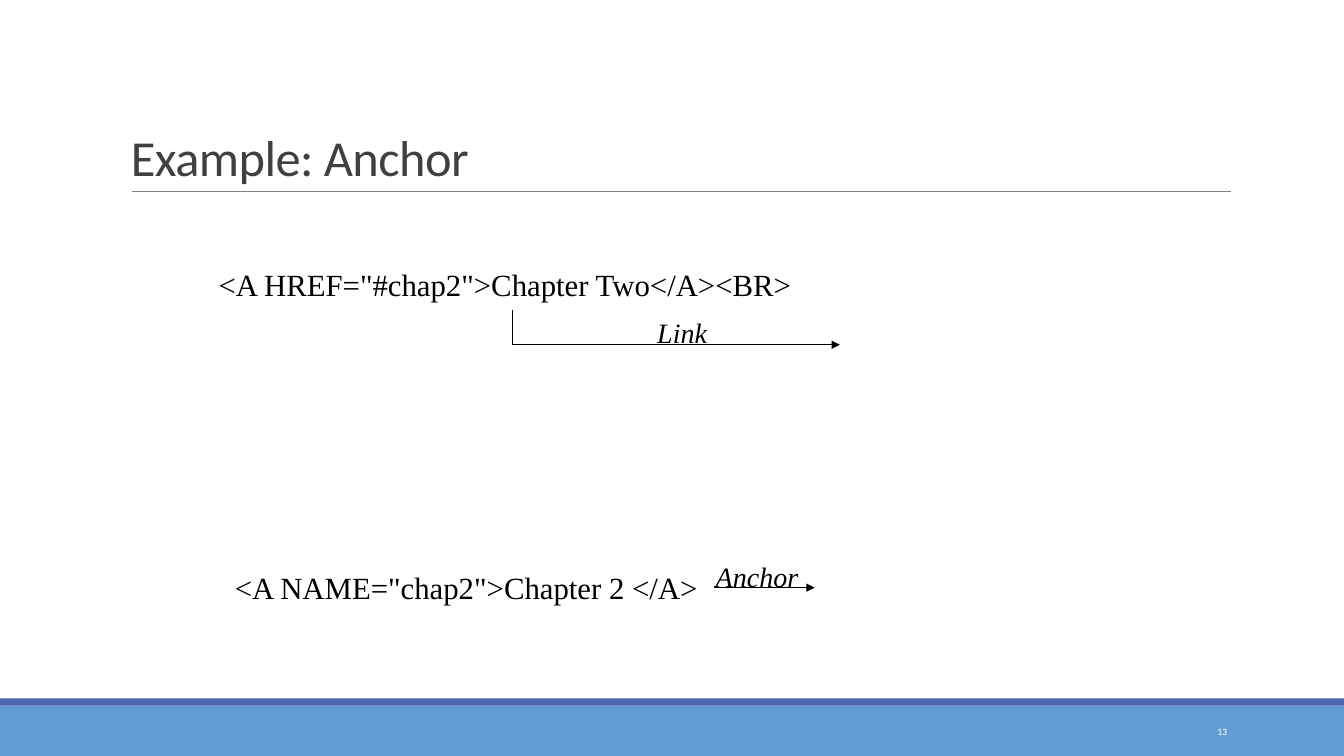
from pptx import Presentation
from pptx.dml.color import RGBColor
from pptx.enum.shapes import MSO_CONNECTOR, MSO_SHAPE
from pptx.enum.text import MSO_ANCHOR as Anchor, MSO_AUTO_SIZE as AutoSize, PP_ALIGN as Align
from pptx.oxml.ns import qn
from pptx.util import Inches, Pt
from lxml.etree import SubElement

BLACK = RGBColor(0, 0, 0)
WHITE = RGBColor(255, 255, 255)
CHARCOAL = RGBColor(0x40, 0x40, 0x40)
GRAY = RGBColor(0x80, 0x80, 0x80)
SKY = RGBColor(0x62, 0x9D, 0xD1)
INDIGO = RGBColor(0x4A, 0x66, 0xAC)

WIDTH, HEIGHT = 13.33, 7.5
FOOTER_TOP, STRIPE = 7, 0.07
BARS = [(FOOTER_TOP, HEIGHT - FOOTER_TOP, SKY), (FOOTER_TOP - STRIPE, STRIPE, INDIGO)]

TITLE = ("Example: Anchor", (1.2, 0.31, 11, 1.59))
PAGE_NUMBER = ("13", (10.83, 7.06, 1.44, 0.4))
CODE = [
    ('<A HREF="#chap2">Chapter Two</A><BR>', (2.07, 2.59, 5.93, 0.47)),
    ('<A NAME="chap2">Chapter 2 </A>', (2.23, 5.59, 4.81, 0.47)),
]
LABELS = [
    ("Link", (6.42, 3.08, 0.72, 0.43), False),
    ("Anchor", (7, 5.5, 1.02, 0.43), True),
]

LINK_X, LINK_Y = 5.08, 3.42
LINES = [
    ((1.31, 1.9), (12.21, 1.9), GRAY, 0.5, False),
    ((LINK_X, LINK_Y), (8.33, LINK_Y), BLACK, 0.75, True),
    ((LINK_X, LINK_Y), (LINK_X, 3.08), BLACK, 0.75, False),
    ((7.08, 5.83), (8.08, 5.83), BLACK, 0.75, True),
]


def add_text(page, text, place, size, font="Times New Roman", color=BLACK, italic=False,
             wrap=False, grow=False, anchor=Anchor.TOP, align=Align.LEFT,
             line_spacing=1.0, tracking=None):
    box = page.shapes.add_textbox(*map(Inches, place))
    frame = box.text_frame
    frame.word_wrap = wrap
    frame.auto_size = AutoSize.SHAPE_TO_FIT_TEXT if grow else AutoSize.NONE
    frame.vertical_anchor = anchor
    para = frame.paragraphs[0]
    para.alignment = align
    para.line_spacing = line_spacing
    span = para.add_run()
    span.text = text
    span.font.name = font
    span.font.size = Pt(size)
    span.font.italic = italic
    span.font.color.rgb = color
    if tracking is not None:
        span.font._element.set("spc", str(round(tracking * 100)))


def add_bar(page, top, height, color):
    bar = page.shapes.add_shape(MSO_SHAPE.RECTANGLE, 0, Inches(top), Inches(WIDTH), Inches(height))
    bar.shadow.inherit = False
    bar.fill.solid()
    bar.fill.fore_color.rgb = color
    bar.line.fill.background()


def add_line(page, start, end, color, weight, arrow):
    line = page.shapes.add_connector(MSO_CONNECTOR.STRAIGHT, *map(Inches, start + end))
    line.line.color.rgb = color
    line.line.width = Pt(weight)
    if arrow:
        SubElement(line.line._get_or_add_ln(), qn("a:tailEnd"), type="triangle")
    SubElement(line._element.spPr, qn("a:effectLst"))


def main():
    deck = Presentation()
    deck.slide_width, deck.slide_height = Inches(WIDTH), Inches(HEIGHT)
    page = deck.slides.add_slide(deck.slide_layouts[6])
    for bar in BARS:
        add_bar(page, *bar)
    for line in LINES:
        add_line(page, *line)
    add_text(page, *TITLE, size=36, font="Calibri", color=CHARCOAL, wrap=True,
             anchor=Anchor.BOTTOM, line_spacing=0.85, tracking=-0.4)
    for text, place in CODE:
        add_text(page, text, place, size=22, grow=True)
    for text, place, wrap in LABELS:
        add_text(page, text, place, size=20, italic=True, wrap=wrap, grow=True)
    add_text(page, *PAGE_NUMBER, size=7, font="Calibri", color=WHITE, wrap=True,
             anchor=Anchor.MIDDLE, align=Align.RIGHT)
    deck.save("out.pptx")


if __name__ == "__main__":
    main()
